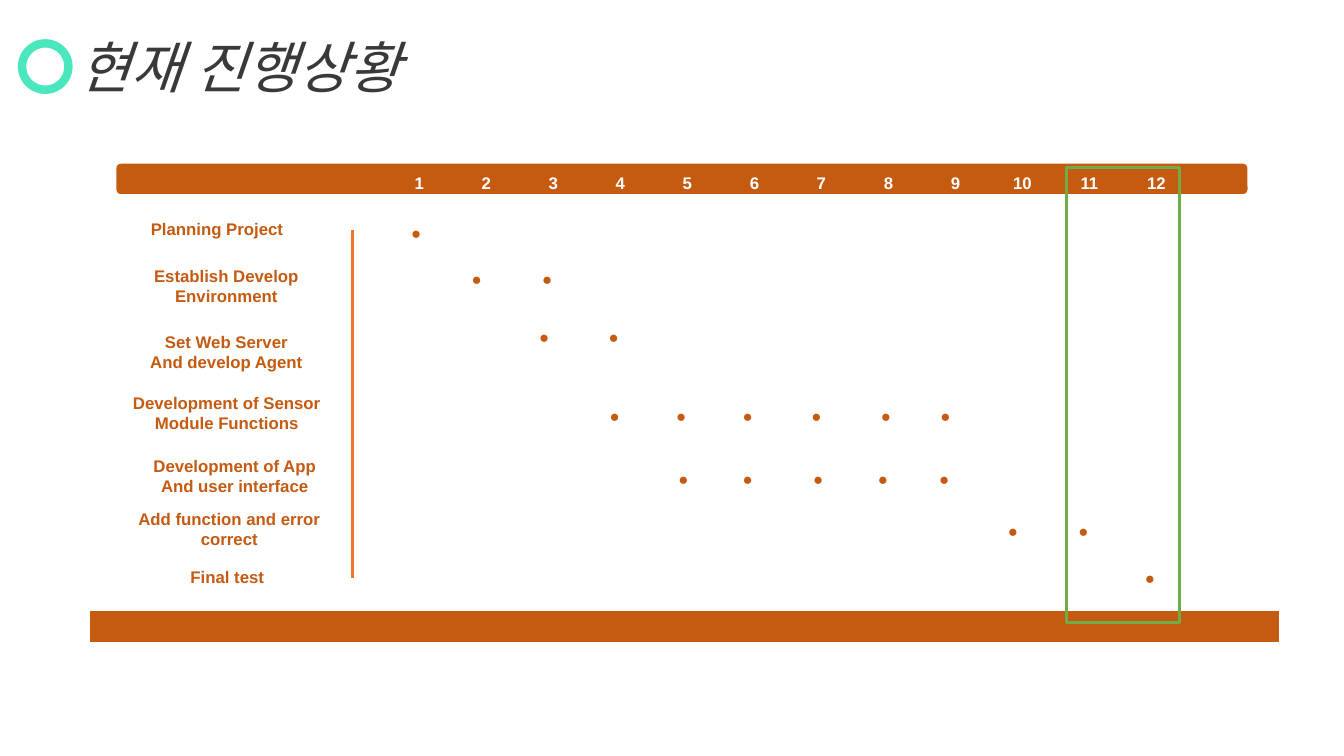
"""Build the project progress slide with its monthly schedule."""
from lxml import etree
from pptx import Presentation
from pptx.dml.color import RGBColor
from pptx.enum.shapes import MSO_CONNECTOR as CONN, MSO_SHAPE as SHAPE
from pptx.enum.text import MSO_ANCHOR as ANCHOR, MSO_AUTO_SIZE as FIT, PP_ALIGN as ALIGN
from pptx.oxml.ns import qn
from pptx.util import Pt

COLORS = {"mint": "4AE6BD", "title": "3B3838", "rust": "C55A11",
          "divider": "EC792B", "now": "70AD47", "white": "FFFFFF"}
TITLE, TITLE_FONT, FONT = "현재 진행상황", "Noto Sans CJK KR", "Arial"
MONTHS = range(1, 13)
MONTH_X, MONTH_Y, MONTH_W, MONTH_STEP = 284.4, 119.5, 30.24, 47.87
LINE_H, TEXT_H, DOT_W = 14.4, 21.6, 32.4

# label lines, label (left, top, width), dot top, dot lefts
TASKS = [
    (["Planning Project"], (91.4, 152.6, 127.4), 155.5, [286.6]),
    (["Establish Develop Environment"], (88.6, 186.5, 146.2), 188.3, [329.8, 380.2]),
    (["Set Web Server", "And develop Agent"], (88.6, 233.3, 146.2), 229.7, [378, 427.7]),
    (["Development of Sensor Module Functions"], (85.7, 277.2, 152.6), 286.6,
     [428.4, 475.9, 523.4, 572.4, 622.1, 664.6]),
    (["Development of App", "And user interface"], (91.4, 321.8, 152.6), 331.2,
     [477.4, 523.4, 573.8, 619.9, 663.8]),
    (["Add function and error correct"], (90.7, 360, 146.2), 368.6, [712.8, 763.2]),
    (["Final test"], (89.3, 401, 146.2), 401.8, [810.7]),
]

# preset, (left, top, width, height), fill, line, line width
RING = (SHAPE.OVAL, (15.8, 31, 33.1, 33.1), None, "mint", 6)
BARS = [
    (SHAPE.RECTANGLE, (63.4, 435.6, 851, 23.8), "rust", "white", 2),
    (SHAPE.ROUNDED_RECTANGLE, (82.1, 115.9, 810, 23.8), "rust", "white", 2),
]
NOW = (SHAPE.RECTANGLE, (761.8, 119.5, 80.6, 325.4), None, "now", 2)


def color(name):
    return RGBColor.from_string(COLORS[name])


def style(p, font, size, name, bold=False, italic=False):
    p.font.size, p.font.bold, p.font.italic = Pt(size), bold, italic
    p.font.color.rgb = color(name)
    p.font.name = font


def add_shape(s, preset, box, fill, line, width):
    sp = s.shapes.add_shape(preset, *map(Pt, box))
    sp.shadow.inherit = False
    if fill:
        sp.fill.solid()
        sp.fill.fore_color.rgb = color(fill)
    else:
        sp.fill.background()
    sp.line.color.rgb = color(line)
    sp.line.width = Pt(width)


def add_text(s, lines, box, name, bold=True, align=ALIGN.CENTER):
    tf = s.shapes.add_textbox(*map(Pt, box)).text_frame
    tf.word_wrap = True
    tf.text = "\n".join(lines)
    for p in tf.paragraphs:
        p.alignment = align
        style(p, FONT, 12, name, bold)


def add_title(s):
    sp = s.shapes.title
    sp.left, sp.top, sp.width, sp.height = map(Pt, (49, 19.4, 248.4, 55.4))
    tf = sp.text_frame
    tf.text = TITLE
    tf.word_wrap, tf.auto_size = False, FIT.NONE
    tf.vertical_anchor = ANCHOR.TOP
    p = tf.paragraphs[0]
    p.alignment = ALIGN.LEFT
    style(p, TITLE_FONT, 40, "title", italic=True)
    props = p._p.pPr.find(qn("a:defRPr"))
    etree.SubElement(props, qn("a:ea")).set("typeface", TITLE_FONT)


def add_divider(s):
    cn = s.shapes.add_connector(CONN.STRAIGHT, *map(Pt, (252, 164.2, 252, 412.6)))
    cn.line.color.rgb = color("divider")
    cn.line.width = Pt(2.25)
    etree.SubElement(cn._element.spPr, qn("a:effectLst"))


def main():
    prs = Presentation()
    prs.slide_width, prs.slide_height = Pt(960), Pt(540)
    s = prs.slides.add_slide(prs.slide_layouts[5])
    add_title(s)
    for shape in [RING, *BARS]:
        add_shape(s, *shape)
    for i, month in enumerate(MONTHS):
        box = (MONTH_X + i * MONTH_STEP, MONTH_Y, MONTH_W, TEXT_H)
        add_text(s, [str(month)], box, "white")
    add_divider(s)
    for lines, (x, y, w), dot_y, dots in TASKS:
        rows = 2 if len(lines[0]) > 20 else len(lines)
        add_text(s, lines, (x, y, w, TEXT_H + (rows - 1) * LINE_H), "rust")
        for dot_x in dots:
            add_text(s, ["●"], (dot_x, dot_y, DOT_W, TEXT_H), "rust", False, ALIGN.LEFT)
    add_shape(s, *NOW)
    prs.save("out.pptx")


if __name__ == "__main__":
    main()
